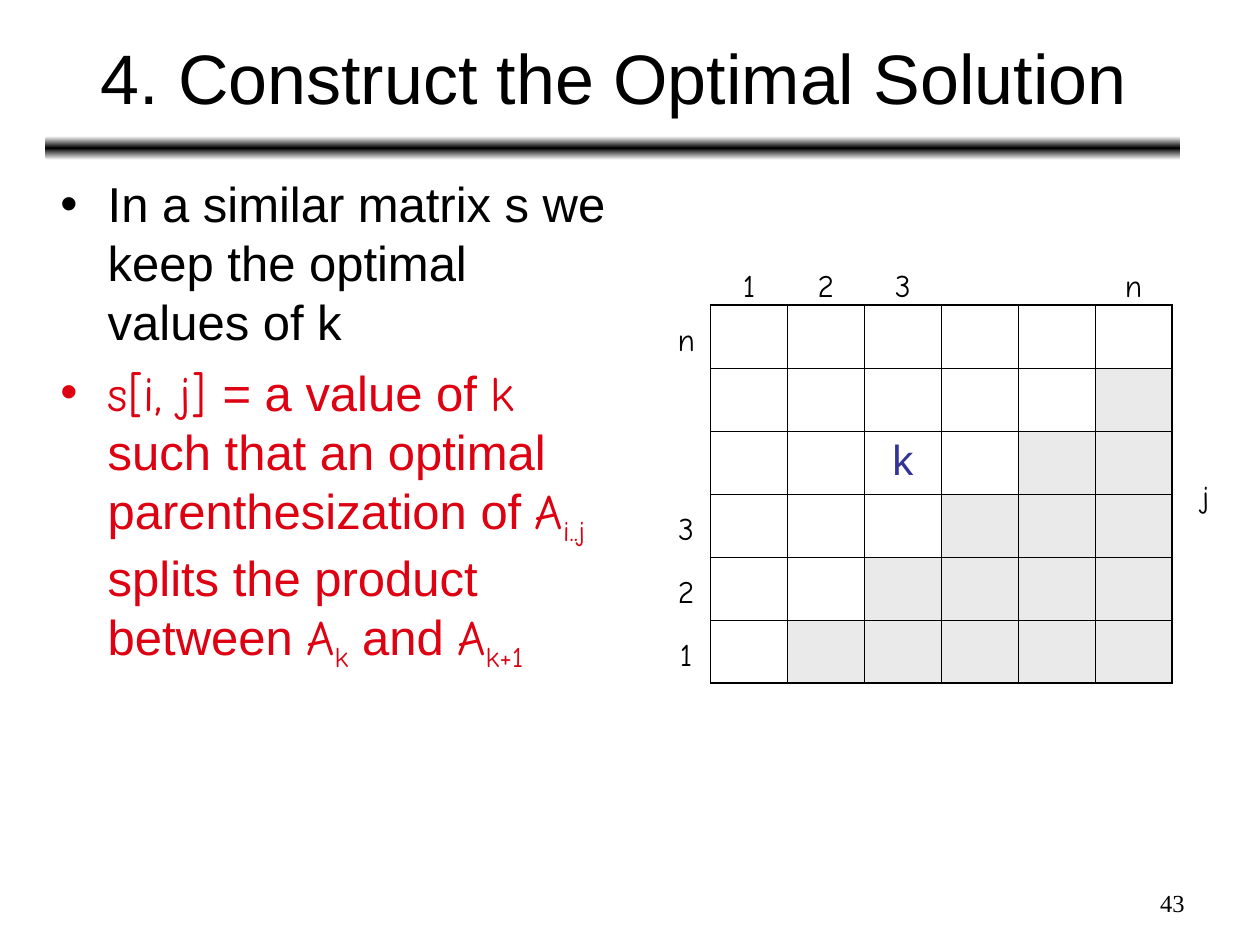
from copy import deepcopy

from pptx import Presentation
from pptx.dml.color import RGBColor
from pptx.enum.shapes import MSO_SHAPE
from pptx.enum.text import MSO_ANCHOR, MSO_AUTO_SIZE, PP_ALIGN
from pptx.oxml.ns import qn
from pptx.oxml.xmlchemy import OxmlElement
from pptx.util import Inches, Pt

CENTER, RIGHT = PP_ALIGN.CENTER, PP_ALIGN.RIGHT
MIDDLE, NO_FIT = MSO_ANCHOR.MIDDLE, MSO_AUTO_SIZE.NONE
ROUNDED = MSO_SHAPE.ROUNDED_RECTANGLE
SANS, HAND, SERIF = "Arial", "Comic Neue", "Times New Roman"
BLACK, WHITE, RED, BLUE, GRAY = "000000", "FFFFFF", "DD0111", "333399", "EAEAEA"

SIZE = 6  # rows and columns of the matrix
LEFT, TOP, CELL_W, CELL_H = 5.64, 2.42, 0.61, 0.5
LABEL_W, LABEL_H = 0.33, 0.4

# Each span is (text, font, is_subscript)
BULLETS = [
    (BLACK, [("In a similar matrix s we keep the optimal values of k", SANS, False)]),
    (RED, [
        ("s[i, j] ", HAND, False), ("= a value of ", SANS, False), ("k", HAND, False),
        (" such that an optimal parenthesization of ", SANS, False),
        ("A", HAND, False), ("i..j", HAND, True),
        (" splits the product between ", SANS, False),
        ("A", HAND, False), ("k", HAND, True), (" and ", SANS, False),
        ("A", HAND, False), ("k+1", HAND, True),
    ]),
]
COLUMN_LABELS = {0: "1", 1: "2", 2: "3", 5: "n"}
ROW_LABELS = {0: "n", 3: "3", 4: "2", 5: "1"}


def color(value):
    return RGBColor.from_string(value)


def set_all(target, values):
    for name, value in values.items():
        setattr(target, name, value)


def add_span(para, text, font, size, ink, subscript=False):
    span = para.add_run()
    span.text = text
    set_all(span.font, {"name": font, "size": Pt(size)})
    span.font.color.rgb = color(ink)
    if subscript:
        span.font._element.set("baseline", "-25000")


def place(shape, left, top, width, height):
    set_all(shape, {"left": Inches(left), "top": Inches(top),
                    "width": Inches(width), "height": Inches(height)})


def add_rule(page):
    """Draw the bar under the title, fading from black to white at its edges."""
    bar = page.shapes.add_shape(ROUNDED, 0, 0, 0, 0)
    place(bar, 0.36, 1.08, 9.01, 0.19)
    bar.shadow.inherit = False
    bar.line.fill.background()
    bar.fill.gradient()
    bar.fill.gradient_angle = 90
    stop_list = bar._element.spPr.find(qn("a:gradFill")).find(qn("a:gsLst"))
    stop_list.append(deepcopy(stop_list[0]))
    stops = zip(bar.fill.gradient_stops, (0, 0.5, 1), (WHITE, BLACK, WHITE))
    for stop, position, ink in stops:
        stop.position = position
        stop.color.rgb = color(ink)


def fill_title(page):
    title = page.shapes.title
    place(title, 0.37, 0.11, 9, 0.99)
    set_all(title.text_frame, {"vertical_anchor": MIDDLE, "auto_size": NO_FIT})
    para = title.text_frame.paragraphs[0]
    para.alignment = CENTER
    add_span(para, "4. Construct the Optimal Solution", SANS, 40, BLACK)


def fill_body(page):
    body = page.placeholders[1]
    place(body, 0.38, 1.33, 4.55, 5.55)
    frame = body.text_frame
    frame.auto_size = NO_FIT
    for index, (ink, spans) in enumerate(BULLETS):
        para = frame.add_paragraph() if index else frame.paragraphs[0]
        para.space_before = Pt(7)
        for text, font, subscript in spans:
            add_span(para, text, font, 28, ink, subscript)


def set_borders(cell, row, column):
    """Draw thin inner lines and thicker lines on the outside of the matrix."""
    outer = {"L": column == 0, "R": column == SIZE - 1,
             "T": row == 0, "B": row == SIZE - 1}
    properties = cell._tc.get_or_add_tcPr()
    for side, is_outer in outer.items():
        line = OxmlElement(f"a:ln{side}")
        line.set("w", str(Pt(1.08 if is_outer else 0.45)))
        fill = OxmlElement("a:solidFill")
        ink = OxmlElement("a:srgbClr")
        ink.set("val", BLACK)
        fill.append(ink)
        line.append(fill)
        properties.append(line)


def add_matrix(page):
    frame = page.shapes.add_table(SIZE, SIZE, Inches(LEFT), Inches(TOP),
                                  Inches(SIZE * CELL_W), Inches(SIZE * CELL_H))
    table = frame.table
    set_all(table, {"first_row": False, "horz_banding": False})
    for row in range(SIZE):
        for column in range(SIZE):
            cell = table.cell(row, column)
            set_borders(cell, row, column)
            if row + column >= SIZE:
                cell.fill.solid()
                cell.fill.fore_color.rgb = color(GRAY)
            else:
                cell.fill.background()
    para = table.cell(2, 2).text_frame.paragraphs[0]
    para.alignment = CENTER
    add_span(para, "k", SANS, 24, BLUE)


def add_text(page, area, text, font, size, alignment, wrap):
    box = page.shapes.add_textbox(*(Inches(length) for length in area))
    box.text_frame.word_wrap = wrap
    para = box.text_frame.paragraphs[0]
    para.alignment = alignment
    add_span(para, text, font, size, BLACK)


def add_label(page, text, column, row):
    """Centre a label on a point given in columns and rows of the matrix."""
    area = (LEFT + column * CELL_W - LABEL_W / 2,
            TOP + row * CELL_H - LABEL_H / 2, LABEL_W, LABEL_H)
    add_text(page, area, text, HAND, 18, CENTER, False)


def main():
    deck = Presentation()
    set_all(deck, {"slide_width": Inches(10), "slide_height": Inches(7.5)})
    page = deck.slides.add_slide(deck.slide_layouts[1])
    add_rule(page)
    fill_title(page)
    fill_body(page)
    add_matrix(page)
    for column, text in COLUMN_LABELS.items():
        add_label(page, text, column + 0.5, -0.32)
    for row, text in ROW_LABELS.items():
        add_label(page, text, -0.32, row + 0.54)
    add_label(page, "j", 6.44, 3.04)
    add_text(page, (7.17, 7, 2.33, 0.35), "43", SERIF, 14, RIGHT, True)
    deck.save("out.pptx")


if __name__ == "__main__":
    main()
